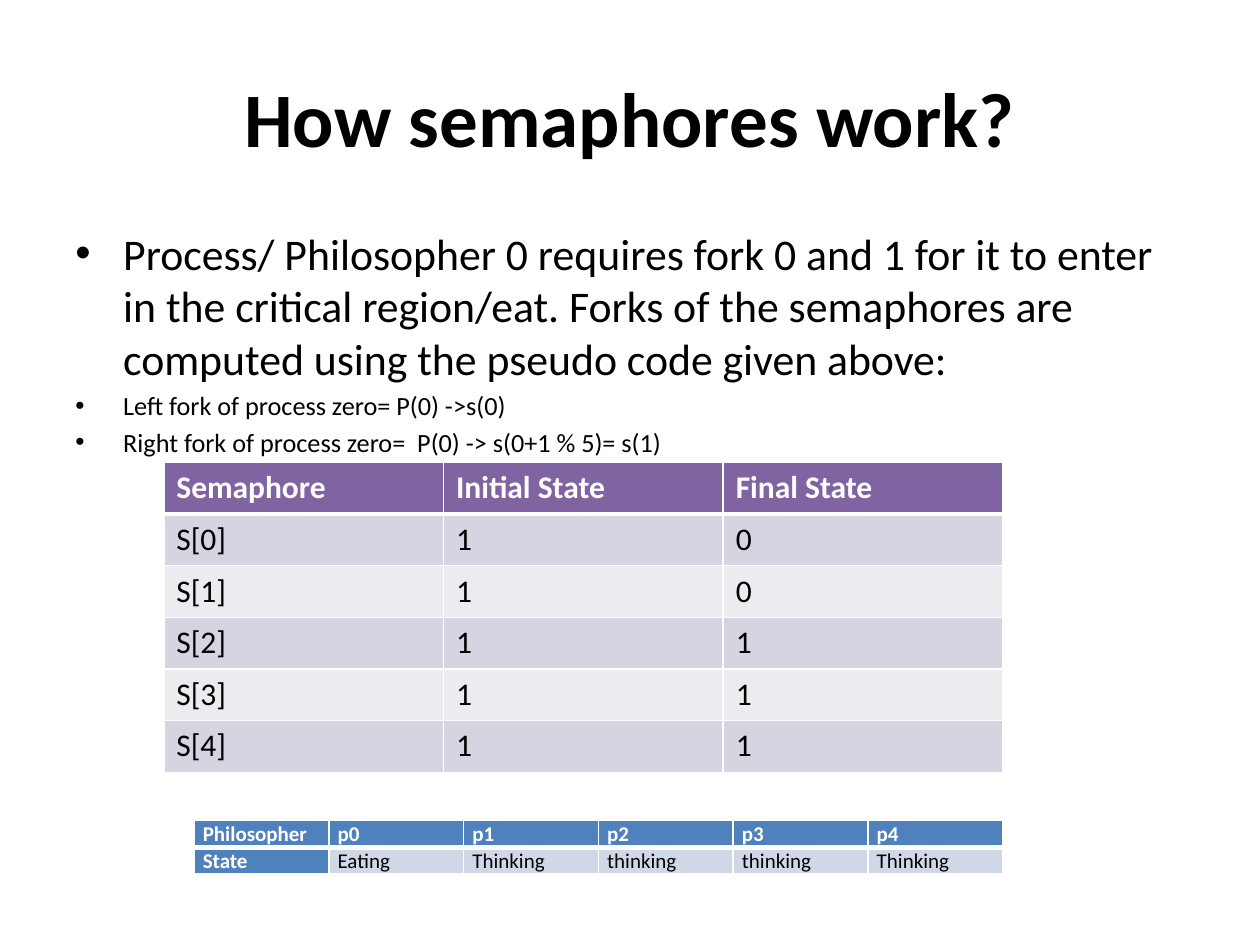
from lxml import etree
from pptx import Presentation
from pptx import util as u
from pptx.dml.color import RGBColor
from pptx.enum import text
from pptx.oxml.ns import qn

COLORS = {
    "text": "000000", "white": "FFFFFF",
    "purple": "8064A2", "purple_mid": "D8D3E0", "purple_pale": "EDEAF0",
    "blue": "4F81BD", "blue_pale": "D0D8E8",
}


class Deck:
    font = "Calibri"

    def __init__(self, slide):
        self.s = slide

    def run(self, p, content, size, color="text", bold=False):
        r = p.add_run()
        r.text = content
        r.font.name, r.font.size, r.font.bold = self.font, u.Pt(size), bold
        r.font.color.rgb = RGBColor.from_string(COLORS[color])

    def box(self, x, y, w, h, anchor=text.MSO_ANCHOR.TOP):
        tf = self.s.shapes.add_textbox(*map(u.Inches, (x, y, w, h))).text_frame
        tf.word_wrap = True
        tf.vertical_anchor = anchor
        return tf

    def title(self, content, *place):
        p = self.box(*place, anchor=text.MSO_ANCHOR.MIDDLE).paragraphs[0]
        p.alignment = text.PP_ALIGN.CENTER
        self.run(p, content, 44, bold=True)

    def bullets(self, items, *place):
        tf = self.box(*place)
        for i, (content, size) in enumerate(items):
            p = tf.add_paragraph() if i else tf.paragraphs[0]
            p.space_before = u.Pt(size * 0.2)
            pPr = p._p.get_or_add_pPr()
            pPr.set("marL", str(u.Inches(0.38)))
            pPr.set("indent", str(u.Inches(-0.38)))
            etree.SubElement(pPr, qn("a:buFont")).set("typeface", "Arial")
            etree.SubElement(pPr, qn("a:buChar")).set("char", "•")
            self.run(p, content, size)

    def borders(self, cell, bottom):
        tcPr = cell._tc.get_or_add_tcPr()
        for side, width in (("L", 1), ("R", 1), ("T", 1), ("B", bottom)):
            ln = etree.SubElement(tcPr, qn(f"a:ln{side}"), w=str(u.Pt(width)))
            fill = etree.SubElement(ln, qn("a:solidFill"))
            etree.SubElement(fill, qn("a:srgbClr")).set("val", COLORS["white"])

    def table(self, rows, x, y, col_w, row_h, size, head, bands,
              head_col=False, compact=False):
        n = len(rows[0])
        table = self.s.shapes.add_table(
            len(rows), n, u.Inches(x), u.Inches(y),
            u.Inches(col_w * n), u.Inches(row_h * len(rows))).table
        table.first_col = head_col
        for col in table.columns:
            col.width = u.Inches(col_w)
        for i, row in enumerate(rows):
            table.rows[i].height = u.Inches(row_h)
            for j, content in enumerate(row):
                cell = table.cell(i, j)
                is_head = i == 0 or (head_col and j == 0)
                self.borders(cell, 3 if i == 0 else 1)
                cell.fill.solid()
                cell.fill.fore_color.rgb = RGBColor.from_string(
                    COLORS[head if is_head else bands[(i - 1) % len(bands)]])
                p = cell.text_frame.paragraphs[0]
                if compact:
                    cell.margin_left = cell.margin_right = u.Inches(0.07)
                    cell.margin_top = cell.margin_bottom = 0
                    p.alignment = text.PP_ALIGN.JUSTIFY
                    p.line_spacing = 1.07
                self.run(p, content, size, "white" if is_head else "text", is_head)


def main():
    prs = Presentation()
    prs.slide_width, prs.slide_height = u.Inches(10), u.Inches(7.5)
    deck = Deck(prs.slides.add_slide(prs.slide_layouts[6]))

    # Title and explanation
    deck.title("How semaphores work?", 0.5, 0.3, 9, 1.25)
    deck.bullets([
        ("Process/ Philosopher 0 requires fork 0 and 1 for it to enter in the "
         "critical region/eat. Forks of the semaphores are computed using the "
         "pseudo code given above:", 25),
        ("Left fork of process zero= P(0) ->s(0)", 15),
        ("Right fork of process zero=  P(0) -> s(0+1 % 5)= s(1)", 15),
    ], 0.5, 1.75, 9, 4.95)

    # Semaphore states: philosopher 0 takes forks 0 and 1
    final = "00111"
    deck.table(
        [("Semaphore", "Initial State", "Final State")]
        + [(f"S[{i}]", "1", state) for i, state in enumerate(final)],
        1.3, 3.67, 2.22, 0.41, 18, "purple", ("purple_mid", "purple_pale"))

    # Philosopher states
    deck.table(
        [["Philosopher"] + [f"p{i}" for i in range(5)],
         ["State", "Eating", "Thinking", "thinking", "thinking", "Thinking"]],
        1.54, 6.51, 1.07, 0.2, 12, "blue", ("blue_pale",),
        head_col=True, compact=True)

    prs.save("out.pptx")


if __name__ == "__main__":
    main()
